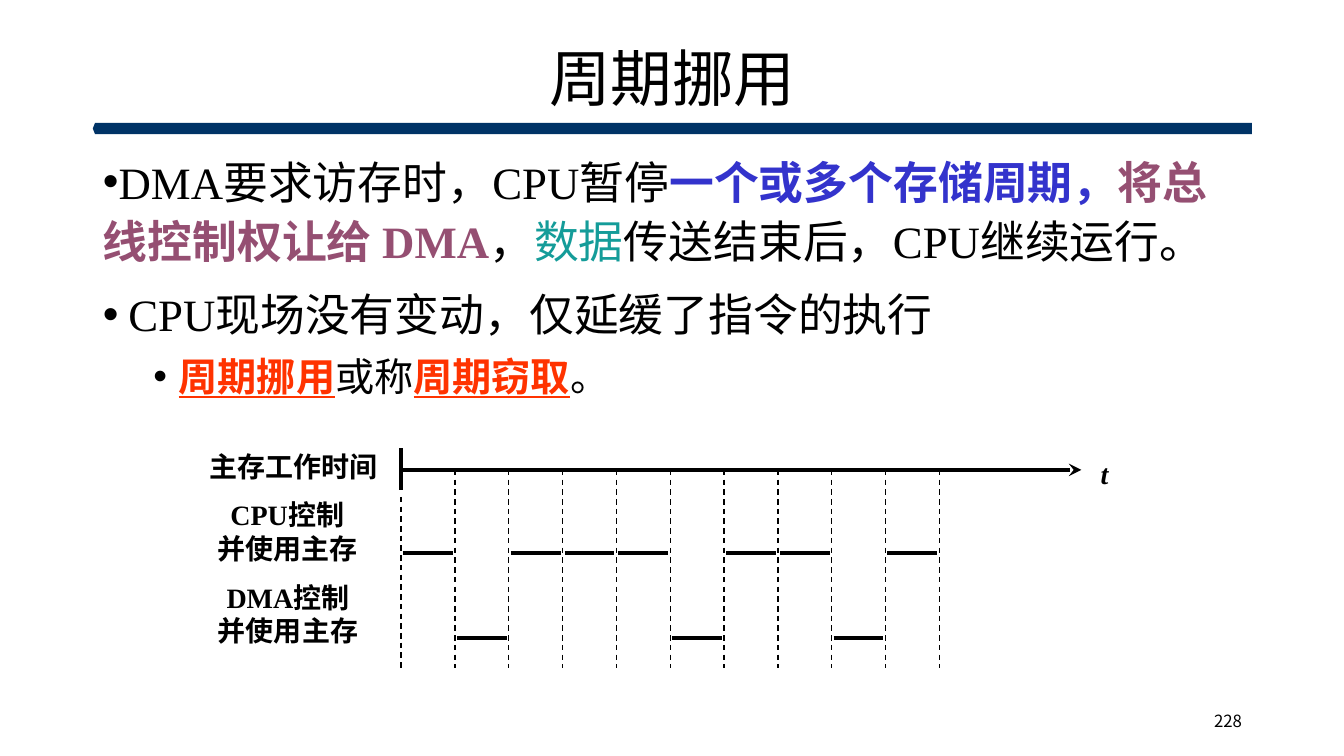
from dataclasses import dataclass

from lxml.etree import SubElement
from pptx import Presentation
from pptx.dml.color import RGBColor as RGB
from pptx.enum.dml import MSO_LINE
from pptx.enum.shapes import MSO_CONNECTOR, MSO_SHAPE
from pptx.enum.text import MSO_ANCHOR as Anchor
from pptx.enum.text import MSO_AUTO_SIZE as AutoSize
from pptx.enum.text import PP_ALIGN as Align
from pptx.oxml.ns import qn
from pptx.util import Cm, Pt


@dataclass(frozen=True)
class Theme:
    black: str = "000000"
    navy: str = "003366"
    blue: str = "3333CC"
    plum: str = "954F72"
    teal: str = "149C99"
    red: str = "FF3300"
    serif: str = "Times New Roman"
    sans: str = "Noto Sans CJK SC"
    title: int = 44
    body: int = 32
    sub: int = 28
    label: int = 20
    number: int = 12
    thick: float = 3
    thin: float = 1


THEME = Theme()


@dataclass(frozen=True)
class Span:
    text: str
    color: str = THEME.black
    bold: bool = False
    underline: bool = False


@dataclass(frozen=True)
class Bullet:
    spans: tuple[Span, ...]
    size: int
    level: int
    margin: float
    before: float


@dataclass(frozen=True)
class Label:
    text: str
    left: float
    top: float
    width: float
    height: float
    size: int = THEME.label
    font: str = THEME.serif
    bold: bool = True
    italic: bool = False
    align: Align = Align.CENTER
    anchor: Anchor = Anchor.TOP


@dataclass(frozen=True)
class Line:
    x1: float
    y1: float
    x2: float
    y2: float
    width: float = THEME.thick
    dashed: bool = False
    arrow: bool = False


BULLETS = (
    Bullet((Span("DMA要求访存时，CPU暂停"),
            Span("一个或多个存储周期，", THEME.blue, True),
            Span("将总线控制权让给 DMA", THEME.plum, True),
            Span("，"),
            Span("数据", THEME.teal),
            Span("传送结束后，CPU继续运行。")), THEME.body, 1, 0, 0),
    Bullet((Span("CPU现场没有变动，仅延缓了指令的执行"),), THEME.body, 0, 0.64, 10),
    Bullet((Span("周期挪用", THEME.red, True, True),
            Span("或称"),
            Span("周期窃取", THEME.red, True, True),
            Span("。")), THEME.sub, 1, 1.91, 5),
)

LABELS = (
    Label("主存工作时间", 5, 11.2, 4.78, 1.09),
    Label("CPU控制\n并使用主存", 5.21, 12.42, 4.06, 1.96),
    Label("DMA控制\n并使用主存", 5.23, 14.5, 4.06, 1.96),
    Label("t", 27.48, 11.38, 0.71, 1.09, italic=True),
    Label("228", 23.93, 17.65, 7.62, 1.02, THEME.number, THEME.sans, False,
          align=Align.RIGHT, anchor=Anchor.MIDDLE),
)

OWNERS = "CDCCCDCCDC"
LEVELS = {"C": 13.94, "D": 16.08}
START, END, AXIS = 10.11, 23.67, 11.84
SLOT = (END - START) / len(OWNERS)
GAP = 0.05


def style(r, size: int, font: str, color: str = THEME.black, bold: bool = False,
          italic: bool = False, underline: bool = False) -> None:
    r.font.size = Pt(size)
    r.font.name = font
    r.font.color.rgb = RGB.from_string(color)
    r.font.bold, r.font.italic, r.font.underline = bold, italic, underline


def place(sp, left: float, top: float, width: float, height: float) -> None:
    sp.left, sp.top, sp.width, sp.height = map(Cm, (left, top, width, height))


def write_bullet(p, bullet: Bullet) -> None:
    p.level = bullet.level
    p.alignment = Align.LEFT
    p.line_spacing = 1.1
    p.space_before = Pt(bullet.before)
    ppr = p._p.get_or_add_pPr()
    ppr.set("marL", str(Cm(bullet.margin)))
    ppr.set("indent", str(Cm(-0.64)))
    SubElement(SubElement(ppr, qn("a:buClr")), qn("a:srgbClr")).set("val", THEME.black)
    SubElement(ppr, qn("a:buFont")).set("typeface", "Arial")
    SubElement(ppr, qn("a:buChar")).set("char", "•")
    for span in bullet.spans:
        r = p.add_run()
        r.text = span.text
        style(r, bullet.size, THEME.serif, span.color, span.bold, underline=span.underline)


def draw_label(shapes, label: Label) -> None:
    sp = shapes.add_textbox(*map(Cm, (label.left, label.top, label.width, label.height)))
    tf = sp.text_frame
    tf.word_wrap = False
    tf.vertical_anchor = label.anchor
    tf.text = label.text
    for p in tf.paragraphs:
        p.alignment = label.align
        for r in p.runs:
            style(r, label.size, label.font, bold=label.bold, italic=label.italic)


def draw_line(shapes, line: Line) -> None:
    sp = shapes.add_connector(MSO_CONNECTOR.STRAIGHT,
                              *map(Cm, (line.x1, line.y1, line.x2, line.y2)))
    sp.line.color.rgb = RGB.from_string(THEME.black)
    sp.line.width = Pt(line.width)
    if line.dashed:
        sp.line.dash_style = MSO_LINE.DASH
    if line.arrow:
        SubElement(sp.line._get_or_add_ln(), qn("a:tailEnd")).set("type", "stealth")
    SubElement(sp._element.spPr, qn("a:effectLst"))


def timing_lines() -> list[Line]:
    lines = [Line(START, 11.3, START, 12.34),
             Line(START, AXIS, 27.25, AXIS, arrow=True),
             Line(START, 12.52, START, 16.89, THEME.thin, True)]
    for i, owner in enumerate(OWNERS):
        x, y = START + i * SLOT, LEVELS[owner]
        lines.append(Line(x + GAP, y, x + SLOT - GAP, y))
        lines.append(Line(x + SLOT, AXIS, x + SLOT, 16.84, THEME.thin, True))
    return lines


def main() -> None:
    prs = Presentation()
    prs.slide_width, prs.slide_height = Cm(33.87), Cm(19.05)
    slide = prs.slides.add_slide(prs.slide_layouts[1])
    shapes = slide.shapes

    bar = shapes.add_shape(MSO_SHAPE.PENTAGON, Cm(2.34), Cm(3.1), Cm(29.21), Cm(0.28))
    bar.adjustments[0] = 0.2
    bar._element.spPr.xfrm.set("flipH", "1")
    bar.shadow.inherit = False
    bar.fill.solid()
    bar.fill.fore_color.rgb = RGB.from_string(THEME.navy)
    bar.line.fill.background()

    title = shapes.title
    place(title, 2.34, 1.02, 29.21, 2.08)
    tf = title.text_frame
    tf.text = "周期挪用"
    tf.auto_size = AutoSize.NONE
    tf.vertical_anchor = Anchor.MIDDLE
    p = tf.paragraphs[0]
    p.alignment = Align.CENTER
    p.line_spacing = 0.9
    style(p.runs[0], THEME.title, THEME.sans)

    body = slide.placeholders[1]
    place(body, 2.34, 3.63, 29.21, 13.54)
    tf = body.text_frame
    tf.auto_size = AutoSize.NONE
    for i, bullet in enumerate(BULLETS):
        write_bullet(tf.add_paragraph() if i else tf.paragraphs[0], bullet)

    for label in LABELS:
        draw_label(shapes, label)
    for line in timing_lines():
        draw_line(shapes, line)

    prs.save("out.pptx")


if __name__ == "__main__":
    main()
